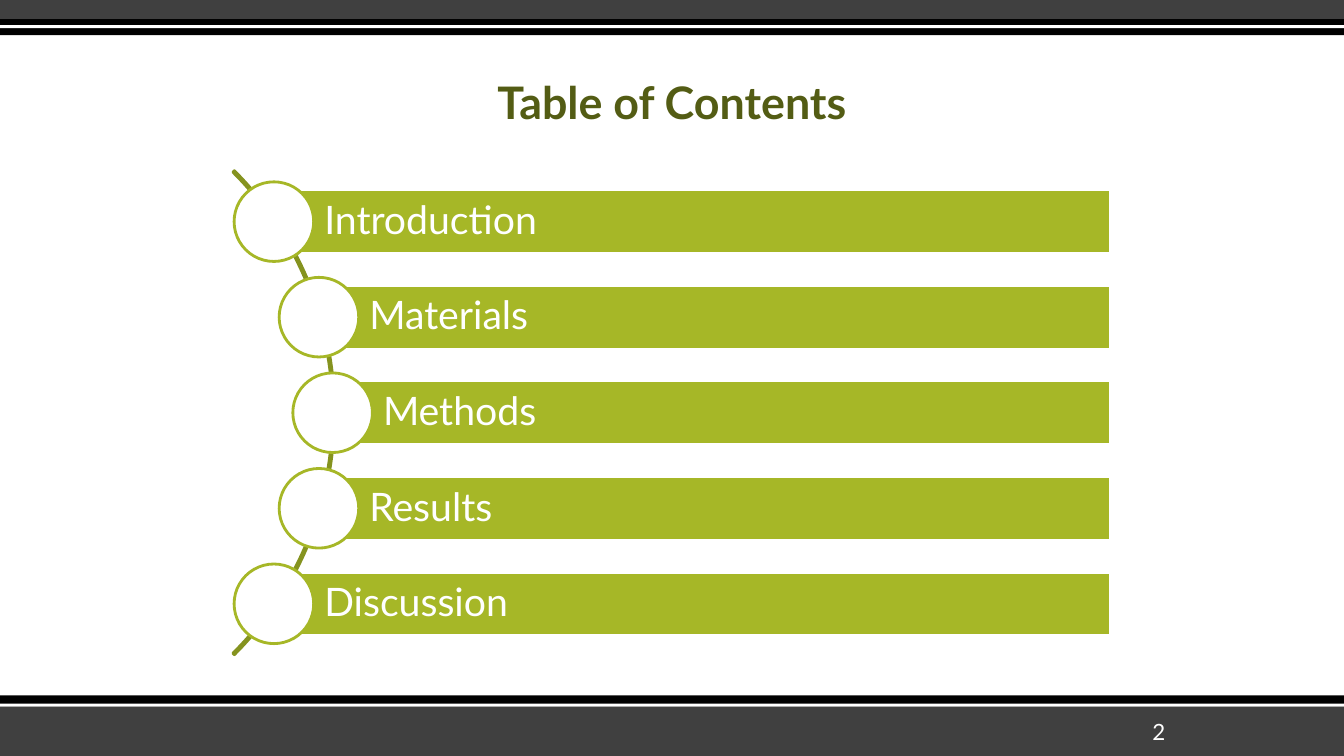
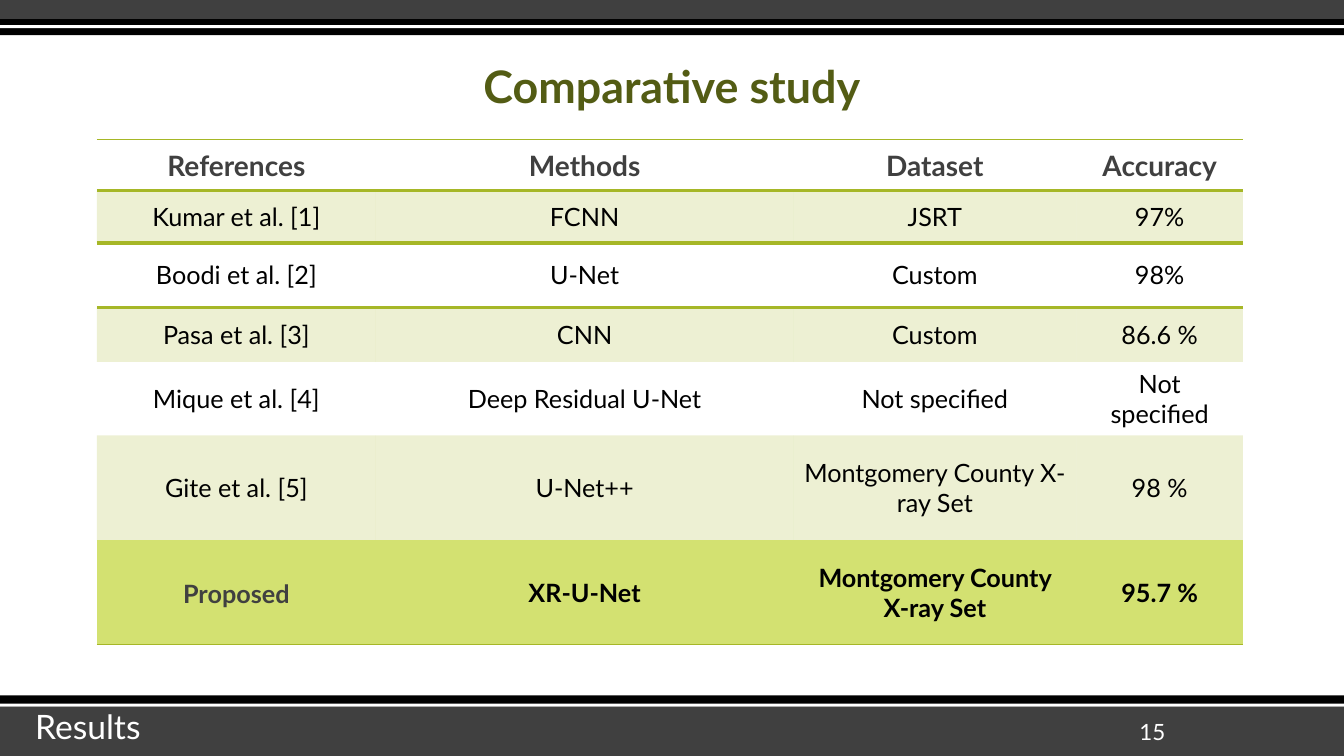
"""Build a contents slide and a results table that share bands, title and footer."""

import math
from dataclasses import dataclass
from typing import NamedTuple

import lxml.etree
import pptx
import pptx.dml.color
import pptx.enum.shapes
import pptx.enum.text
import pptx.oxml.ns
import pptx.util

Align = pptx.enum.text.PP_ALIGN
Anchor = pptx.enum.text.MSO_ANCHOR
Preset = pptx.enum.shapes.MSO_SHAPE

WIDTH = pptx.util.Inches(13.333)
HEIGHT = pptx.util.Inches(7.5)
GRID_COLUMNS = 128
GRID_ROWS = 72
NO_GRID_STYLE = "{2D5ABB26-0587-4C30-8999-92F81FD0307C}"


@dataclass(frozen=True)
class Theme:
    font: str = "Lato"
    title: str = "535C14"
    green: str = "A6B727"
    dark_green: str = "85931F"
    light_green: str = "D3E171"
    grey: str = "404040"
    black: str = "000000"
    white: str = "FFFFFF"
    tint: int = 20
    title_size: int = 32
    topic_size: int = 28
    section_size: int = 24
    header_size: int = 20
    body_size: int = 18
    number_size: int = 16
    outline: int = 2
    thick_rule: int = 3
    thin_rule: int = 1
    tight: float = 0.9
    loose: float = 1.07


THEME = Theme()


class Area(NamedTuple):
    """A rectangle in grid columns and rows."""

    left: float
    top: float
    width: float
    height: float


class Band(NamedTuple):
    top: float
    height: float
    color: str


class Style(NamedTuple):
    size: int
    color: str
    bold: bool = False
    align: Align = Align.LEFT
    spacing: float = 1.0
    after: int = 0


class Rule(NamedTuple):
    side: str
    width: int


class TableRow(NamedTuple):
    height: float
    texts: tuple[str, ...]
    style: Style
    fill: str | None = None
    opacity: int = 100
    rules: tuple[Rule, ...] = ()


BANDS = (
    Band(67.2, 4.8, THEME.grey),
    Band(66.24, 1.06, THEME.black),
    Band(67.01, 0.29, THEME.white),
    Band(0, 1.82, THEME.grey),
    Band(1.82, 1.54, THEME.black),
    Band(2.4, 0.29, THEME.white),
)
TITLE = Style(THEME.title_size, THEME.title, True, Align.CENTER, THEME.tight)
TOPIC = Style(THEME.topic_size, THEME.white, spacing=THEME.tight)
SECTION = Style(THEME.section_size, THEME.white, spacing=THEME.tight)
NUMBER = Style(THEME.number_size, THEME.white, align=Align.RIGHT)
HEADER = Style(THEME.header_size, THEME.grey, True, Align.CENTER, THEME.loose, 8)
BODY = Style(THEME.body_size, THEME.black, align=Align.CENTER)
STRONG = BODY._replace(bold=True)
PROPOSED = HEADER._replace(size=THEME.body_size)

TOPICS = ("Introduction", "Materials", "Methods", "Results", "Discussion")
ARC_BOX = Area(-33.31, 6.72, 65.18, 65.18)
ARC_RADIUS = 32.4
TOPIC_PITCH = 9.1
BAR_HEIGHT = 6.05
BAR_RIGHT = 105.8
DISC = 7.58
TOPIC_INDENT = 4.8

TABLE_LEFT, TABLE_TOP = 9.22, 13.25
TABLE_COLUMNS = (26.59, 39.74, 26.98, 15.84)
TABLE_ROWS = (
    TableRow(4.9, ("References", "Methods", "Dataset", "Accuracy"), HEADER,
             rules=(Rule("T", THEME.thin_rule), Rule("B", THEME.thick_rule))),
    TableRow(4.99, ("Kumar et al. [1]", "FCNN", "JSRT", "97%"), BODY, THEME.green, THEME.tint,
             (Rule("T", THEME.thick_rule), Rule("B", THEME.thick_rule))),
    TableRow(6.14, ("Boodi et al. [2]", "U-Net", "Custom", "98%"), BODY,
             rules=(Rule("T", THEME.thick_rule),)),
    TableRow(5.18, ("Pasa et al. [3]", "CNN", "Custom", "86.6 %"), BODY, THEME.green, THEME.tint),
    TableRow(7.01, ("Mique et al. [4]", "Deep Residual U-Net", "Not specified", "Not specified"), BODY),
    TableRow(9.98, ("Gite et al. [5]", "U-Net++", "Montgomery County X-ray Set", "98 %"),
             BODY, THEME.green, THEME.tint),
    TableRow(9.98, ("Proposed", "XR-U-Net", "Montgomery County X-ray Set", "95.7 %"),
             STRONG, THEME.light_green, rules=(Rule("B", THEME.thin_rule),)),
)


def across(columns: float) -> pptx.util.Emu:
    return pptx.util.Emu(round(WIDTH * columns / GRID_COLUMNS))


def down(rows: float) -> pptx.util.Emu:
    return pptx.util.Emu(round(HEIGHT * rows / GRID_ROWS))


def place(area: Area) -> tuple[pptx.util.Emu, ...]:
    return across(area.left), down(area.top), across(area.width), down(area.height)


def rgb(color: str) -> pptx.dml.color.RGBColor:
    return pptx.dml.color.RGBColor.from_string(color)


def write(frame, text: str, style: Style) -> None:
    frame.word_wrap = True
    para = frame.paragraphs[0]
    para.text = text
    para.alignment = style.align
    para.line_spacing = style.spacing
    para.space_after = pptx.util.Pt(style.after)
    para.font.name = THEME.font
    para.font.size = pptx.util.Pt(style.size)
    para.font.bold = style.bold
    para.font.color.rgb = rgb(style.color)


def add_text(page, area: Area, text: str, style: Style, anchor: Anchor) -> None:
    box = page.shapes.add_textbox(*place(area))
    box.text_frame.vertical_anchor = anchor
    write(box.text_frame, text, style)


def add_shape(page, preset: Preset, area: Area, fill: str | None, line: str | None = None):
    shape = page.shapes.add_shape(preset, *place(area))
    shape.shadow.inherit = False
    if fill:
        shape.fill.solid()
        shape.fill.fore_color.rgb = rgb(fill)
    else:
        shape.fill.background()
    if line:
        shape.line.color.rgb = rgb(line)
        shape.line.width = pptx.util.Pt(THEME.outline)
    else:
        shape.line.fill.background()
    return shape


def add_page(deck, title: str, title_area: Area, number: str):
    page = deck.slides.add_slide(deck.slide_layouts[6])
    for band in BANDS:
        add_shape(page, Preset.RECTANGLE, Area(0, band.top, GRID_COLUMNS, band.height), band.color)
    add_text(page, title_area, title, TITLE, Anchor.BOTTOM)
    add_text(page, Area(102.14, 68.45, 9.79, 2.4), number, NUMBER, Anchor.MIDDLE)
    return page


def add_topics(page) -> None:
    arc = add_shape(page, Preset.BLOCK_ARC, ARC_BOX, None, THEME.dark_green)
    for index, value in enumerate((189, 27, 0.003)):
        arc.adjustments[index] = value
    middle_column = ARC_BOX.left + ARC_BOX.width / 2
    middle_row = ARC_BOX.top + ARC_BOX.height / 2
    for index, topic in enumerate(TOPICS):
        offset = (index - (len(TOPICS) - 1) / 2) * TOPIC_PITCH
        column = middle_column + math.sqrt(ARC_RADIUS**2 - offset**2)
        row = middle_row + offset
        bar_area = Area(column, row - BAR_HEIGHT / 2, BAR_RIGHT - column, BAR_HEIGHT)
        bar = add_shape(page, Preset.RECTANGLE, bar_area, THEME.green, THEME.white)
        bar.text_frame.margin_left = across(TOPIC_INDENT)
        bar.text_frame.vertical_anchor = Anchor.MIDDLE
        write(bar.text_frame, topic, TOPIC)
        disc_area = Area(column - DISC / 2, row - DISC / 2, DISC, DISC)
        add_shape(page, Preset.OVAL, disc_area, THEME.white, THEME.green)


def add_color(parent, color: str):
    solid = lxml.etree.SubElement(parent, pptx.oxml.ns.qn("a:solidFill"))
    return lxml.etree.SubElement(solid, pptx.oxml.ns.qn("a:srgbClr"), val=color)


def format_cell(cell, row: TableRow) -> None:
    properties = cell._tc.get_or_add_tcPr()
    for rule in row.rules:
        border = lxml.etree.SubElement(
            properties, pptx.oxml.ns.qn(f"a:ln{rule.side}"), w=str(pptx.util.Pt(rule.width)))
        add_color(border, THEME.green)
    if row.fill is None:
        cell.fill.background()
        return
    color = add_color(properties, row.fill)
    if row.opacity < 100:
        lxml.etree.SubElement(color, pptx.oxml.ns.qn("a:alpha"), val=str(row.opacity * 1000))


def add_comparison(page) -> None:
    area = Area(TABLE_LEFT, TABLE_TOP, sum(TABLE_COLUMNS), sum(row.height for row in TABLE_ROWS))
    frame = page.shapes.add_table(len(TABLE_ROWS), len(TABLE_COLUMNS), *place(area))
    table = frame.table
    table.horz_banding = False
    table._tbl.tblPr.find(pptx.oxml.ns.qn("a:tableStyleId")).text = NO_GRID_STYLE
    for column, width in zip(table.columns, TABLE_COLUMNS):
        column.width = across(width)
    for table_row, row in zip(table.rows, TABLE_ROWS):
        table_row.height = down(row.height)
        for cell, text in zip(table_row.cells, row.texts):
            style = PROPOSED if text == "Proposed" else row.style
            cell.vertical_anchor = Anchor.MIDDLE
            if style in (HEADER, PROPOSED):
                cell.margin_left = cell.margin_right = across(0.67)
                cell.margin_top = cell.margin_bottom = 0
            write(cell.text_frame, text, style)
            format_cell(cell, row)


def main() -> None:
    deck = pptx.Presentation()
    deck.slide_width, deck.slide_height = WIDTH, HEIGHT
    add_topics(add_page(deck, "Table of Contents", Area(16, 6.34, 96, 6.43), "2"))
    study = add_page(deck, "Comparative study", Area(16, 4.03, 96, 7.2), "15")
    add_text(study, Area(2.4, 67.2, 37.63, 4.42), "Results", SECTION, Anchor.TOP)
    add_comparison(study)
    deck.save("out.pptx")


if __name__ == "__main__":
    main()
